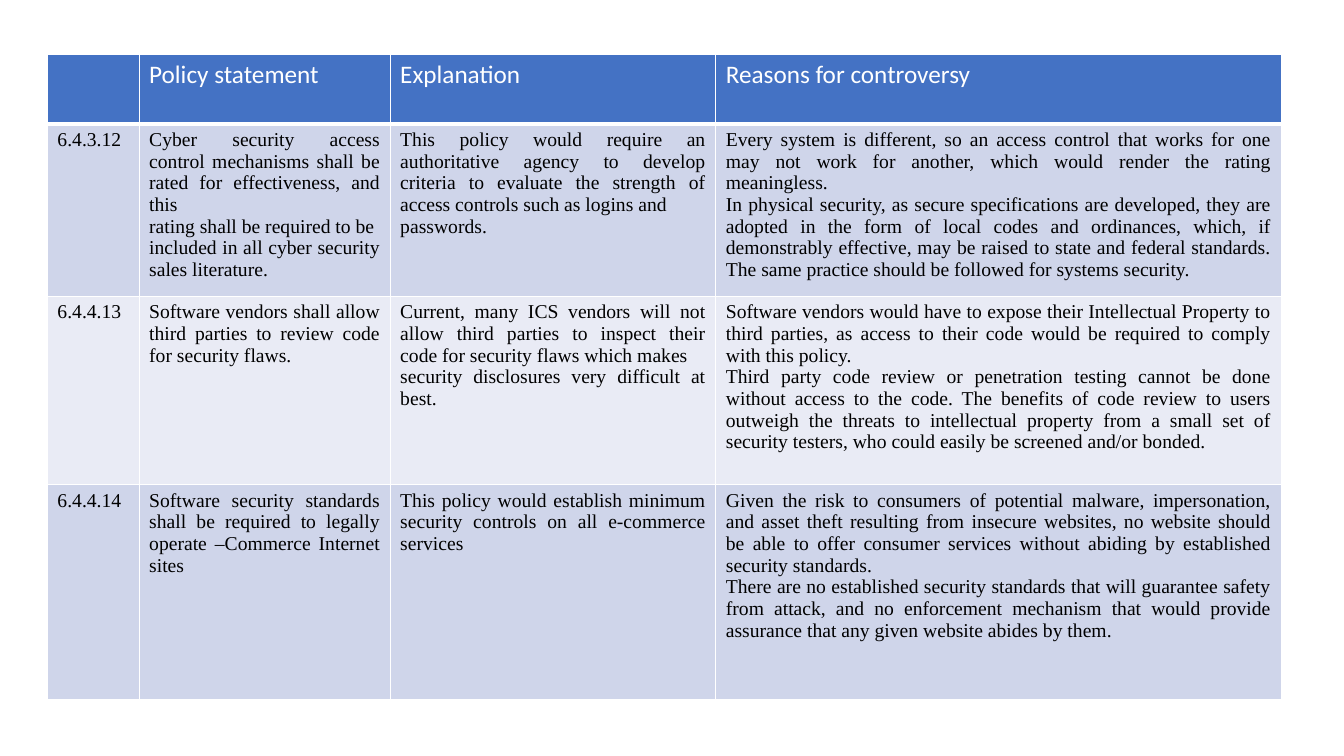
from lxml import etree
from pptx import Presentation
from pptx.dml.color import RGBColor
from pptx.enum.text import PP_ALIGN as Align
from pptx.oxml.ns import qn
from pptx.util import Pt

PX = 9144  # EMU per px, 100 px to the inch
WHITE = RGBColor(0xFF, 0xFF, 0xFF)
BLACK = RGBColor(0, 0, 0)
BLUE = RGBColor(0x44, 0x72, 0xC4)
DARK = RGBColor(0xCF, 0xD5, 0xEA)
LIGHT = RGBColor(0xE9, 0xEB, 0xF5)

COLS = [91, 249, 323, 561]
ROWS = [69, 171, 187, 213]
HEAD = ["", "Policy statement", "Explanation", "Reasons for controversy"]
# A line break inside a cell starts a new paragraph.
BODY = [
    ["6.4.3.12",
     "Cyber security access control mechanisms shall be rated for effectiveness, and this\n"
     "rating shall be required to be\n"
     "included in all cyber security sales literature.",
     "This policy would require an authoritative agency to develop criteria to evaluate "
     "the strength of access controls such as logins and\n"
     "passwords.",
     "Every system is different, so an access control that works for one may not work for "
     "another, which would render the rating meaningless.\n"
     "In physical security, as secure specifications are developed, they are adopted in the "
     "form of local codes and ordinances, which, if demonstrably effective, may be raised to "
     "state and federal standards. The same practice should be followed for systems security."],
    ["6.4.4.13",
     "Software vendors shall allow third parties to review code for security flaws.",
     "Current, many ICS vendors will not allow third parties to inspect their code for "
     "security flaws which makes\n"
     "security disclosures very difficult at best.",
     "Software vendors would have to expose their Intellectual Property to third parties, as "
     "access to their code would be required to comply with this policy.\n"
     "Third party code review or penetration testing cannot be done without access to the "
     "code. The benefits of code review to users outweigh the threats to intellectual property "
     "from a small set of security testers, who could easily be screened and/or bonded."],
    ["6.4.4.14",
     "Software security standards shall be required to legally operate –Commerce Internet sites",
     "This policy would establish minimum security controls on all e-commerce services",
     "Given the risk to consumers of potential malware, impersonation, and asset theft "
     "resulting from insecure websites, no website should be able to offer consumer services "
     "without abiding by established security standards.\n"
     "There are no established security standards that will guarantee safety from attack, and "
     "no enforcement mechanism that would provide assurance that any given website abides by "
     "them."],
]


def write(cell, text, font, size, color, align):
    cell.text = text
    for para in cell.text_frame.paragraphs:
        para.alignment = align
        para.font.size = Pt(size)
        for run in para.runs:
            run.font.name = font
            run.font.size = Pt(size)
            run.font.bold = False
            run.font.color.rgb = color


def edge(cell, **widths):
    """Draw white borders; the keys L, R, T and B hold widths in points."""
    props = cell._tc.get_or_add_tcPr()
    for side, width in widths.items():
        line = etree.SubElement(props, qn("a:ln" + side), w=str(Pt(width)))
        fill = etree.SubElement(line, qn("a:solidFill"))
        etree.SubElement(fill, qn("a:srgbClr"), val=str(WHITE))


prs = Presentation()
prs.slide_width, prs.slide_height = 1333 * PX, 750 * PX
slide = prs.slides.add_slide(prs.slide_layouts[6])
frame = slide.shapes.add_table(len(ROWS), len(COLS), 47 * PX, 54 * PX,
                               sum(COLS) * PX, sum(ROWS) * PX)
table = frame.table
for col, width in zip(table.columns, COLS):
    col.width = width * PX
for row, height in zip(table.rows, ROWS):
    row.height = height * PX

for r, texts in enumerate([HEAD] + BODY):
    for c, text in enumerate(texts):
        cell = table.cell(r, c)
        edge(cell, L=1, R=1, T=3 if r == 1 else 1, B=3 if r == 0 else 1)
        cell.fill.solid()
        if r == 0:
            cell.fill.fore_color.rgb = BLUE
            write(cell, text, font="Calibri", size=18, color=WHITE, align=Align.LEFT)
        else:
            cell.fill.fore_color.rgb = DARK if r % 2 else LIGHT
            write(cell, text, font="Times New Roman", size=14, color=BLACK,
                  align=Align.JUSTIFY)

prs.save("out.pptx")
